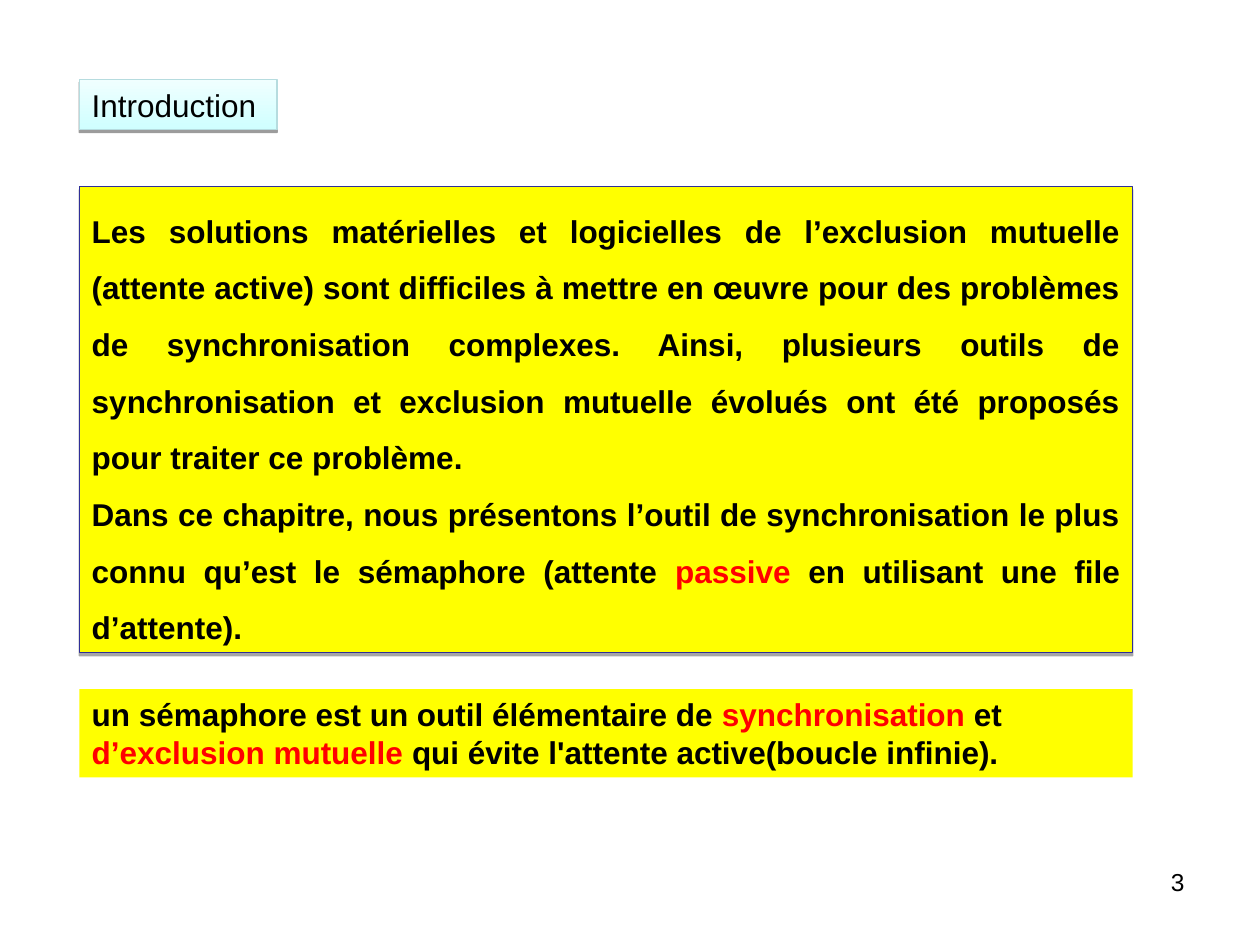
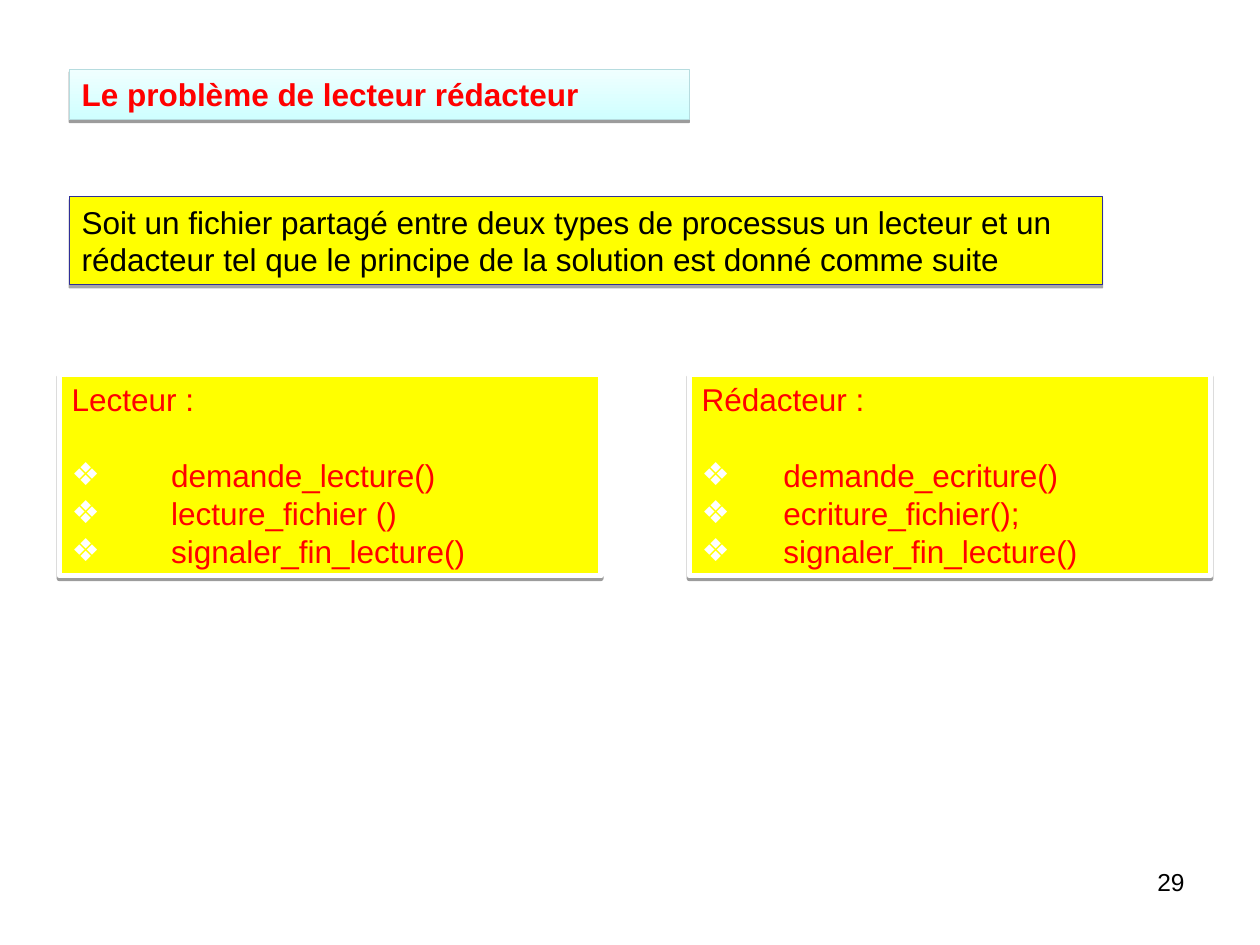
"""Build two slides about semaphores and the reader and writer problem."""
from dataclasses import dataclass
from typing import Optional

from lxml.etree import SubElement as Sub
from pptx import Presentation as Deck
from pptx.dml.color import RGBColor as Rgb
from pptx.enum.shapes import MSO_SHAPE as Kind
from pptx.enum.text import MSO_ANCHOR as Anchor, PP_ALIGN as Align
from pptx.oxml.ns import qn
from pptx.slide import Slide
from pptx.util import Emu, Pt

SCALE = 9144


@dataclass(frozen=True)
class Theme:
    font: str = "Arial"
    body: int = 18
    small: int = 14
    black: str = "000000"
    red: str = "FF0000"
    white: str = "FFFFFF"
    yellow: str = "FFFF00"
    navy: str = "2F2F98"
    teal: str = "B6DCDF"
    pale: tuple[str, str] = ("F0FFFF", "CFFFFF")
    bullet: str = "❖"
    gap: float = 21.6


THEME = Theme()


@dataclass(frozen=True)
class Run:
    text: str
    color: str = THEME.black
    bold: bool = False
    size: int = THEME.body


@dataclass(frozen=True)
class Para:
    runs: list[Run]
    align: Align = Align.LEFT
    lines: float = 1.0
    before: float = 0
    hang: int = 0


@dataclass(frozen=True)
class Area:
    left: int
    top: int
    width: int
    height: int


@dataclass(frozen=True)
class Shade:
    alpha: int
    dist: float


@dataclass(frozen=True)
class Style:
    fill: tuple[str, ...]
    line: Optional[str] = None
    weight: float = 0.75
    shade: Optional[Shade] = None


SOFT = Shade(38, 1.6)
TITLE = Style(THEME.pale, THEME.teal, shade=SOFT)
FRAME = Style((THEME.yellow,), THEME.navy, shade=Shade(35, 1.8))
PLAIN = Style((THEME.yellow,))
CARD = Style((THEME.yellow,), THEME.white, 3, SOFT)


def px(count: int) -> Emu:
    return Emu(count * SCALE)


def place(area: Area) -> tuple[Emu, Emu, Emu, Emu]:
    return px(area.left), px(area.top), px(area.width), px(area.height)


def mark(para, hang: int) -> None:
    props = para._p.get_or_add_pPr()
    props.set("marL", str(px(hang)))
    props.set("indent", str(-px(hang)))
    Sub(Sub(props, qn("a:buClr")), qn("a:srgbClr"), val=THEME.white)
    Sub(props, qn("a:buFont"), typeface=THEME.font)
    Sub(props, qn("a:buChar"), char=THEME.bullet)


def write(frame, paras: list[Para]) -> None:
    frame.word_wrap = True
    frame.vertical_anchor = Anchor.TOP
    for index, item in enumerate(paras):
        para = frame.add_paragraph() if index else frame.paragraphs[0]
        if item.hang:
            mark(para, item.hang)
        para.alignment = item.align
        para.line_spacing = item.lines
        if item.before:
            para.space_before = Pt(item.before)
        for part in item.runs:
            run = para.add_run()
            run.text = part.text
            font = run.font
            font.name, font.size, font.bold = THEME.font, Pt(part.size), part.bold
            font.color.rgb = Rgb.from_string(part.color)


def cast(shape, shade: Shade) -> None:
    effects = shape._element.spPr.find(qn("a:effectLst"))
    outer = Sub(effects, qn("a:outerShdw"), blurRad="0", dist=str(Pt(shade.dist)),
                dir="5400000", algn="ctr", rotWithShape="0")
    color = Sub(outer, qn("a:srgbClr"), val=THEME.black)
    Sub(color, qn("a:alpha"), val=str(shade.alpha * 1000))


def box(slide: Slide, area: Area, style: Style, paras: list[Para]) -> None:
    shape = slide.shapes.add_shape(Kind.RECTANGLE, *place(area))
    shape.shadow.inherit = False
    if style.shade:
        cast(shape, style.shade)
    if len(style.fill) > 1:
        shape.fill.gradient()
        shape.fill.gradient_angle = 270
        for stop, color in zip(shape.fill.gradient_stops, style.fill):
            stop.color.rgb = Rgb.from_string(color)
    else:
        shape.fill.solid()
        shape.fill.fore_color.rgb = Rgb.from_string(style.fill[0])
    if style.line:
        shape.line.color.rgb = Rgb.from_string(style.line)
        shape.line.width = Pt(style.weight)
    else:
        shape.line.fill.background()
    write(shape.text_frame, paras)


def start(deck, number: int) -> Slide:
    slide = deck.slides.add_slide(deck.slide_layouts[6])
    foot = slide.shapes.add_textbox(*place(Area(717, 683, 233, 52)))
    write(foot.text_frame, [Para([Run(str(number), size=THEME.small)], Align.RIGHT)])
    return slide


def steps(head: str, calls: list[str], hang: int) -> list[Para]:
    rows = [Para([Run(call, THEME.red)], before=0 if index else THEME.gap, hang=hang)
            for index, call in enumerate(calls)]
    return [Para([Run(head, THEME.red)])] + rows


def intro(deck) -> None:
    slide = start(deck, 3)
    box(slide, Area(63, 148, 836, 370), FRAME, [
        Para([Run("Les solutions matérielles et logicielles de l’exclusion mutuelle "
                  "(attente active) sont difficiles à mettre en œuvre pour des problèmes "
                  "de synchronisation complexes. Ainsi, plusieurs outils de synchronisation "
                  "et exclusion mutuelle évolués ont été proposés pour traiter ce problème.",
                  bold=True)], Align.JUSTIFY, 1.5),
        Para([Run("Dans ce chapitre, nous présentons l’outil de synchronisation le plus "
                  "connu qu’est le sémaphore (attente", bold=True),
              Run(" passive ", THEME.red, True),
              Run("en utilisant une file d’attente).", bold=True)], Align.JUSTIFY, 1.5),
    ])
    box(slide, Area(63, 63, 157, 40), TITLE, [Para([Run("Introduction")])])
    box(slide, Area(63, 547, 836, 70), PLAIN, [Para([
        Run("un sémaphore est un outil élémentaire de ", bold=True),
        Run("synchronisation", THEME.red, True),
        Run(" et ", bold=True),
        Run("d’exclusion mutuelle ", THEME.red, True),
        Run("qui évite l'attente active(boucle infinie).", bold=True),
    ])])


def share(deck) -> None:
    slide = start(deck, 29)
    box(slide, Area(55, 156, 820, 70), FRAME, [Para([
        Run("Soit un fichier partagé entre deux types de processus un lecteur et un "
            "rédacteur tel que le principe de la solution est donné comme suite")])])
    box(slide, Area(47, 297, 430, 160), CARD, steps(
        "Lecteur :",
        ["demande_lecture()", "lecture_fichier ()", "signaler_fin_lecture()"], 79))
    box(slide, Area(547, 297, 414, 160), CARD, steps(
        "Rédacteur :",
        ["demande_ecriture()", "ecriture_fichier();", "signaler_fin_lecture()"], 65))
    box(slide, Area(55, 55, 492, 40), TITLE, [
        Para([Run("Le problème de lecteur rédacteur", THEME.red, True)])])


def main() -> None:
    deck = Deck()
    deck.slide_width, deck.slide_height = px(1000), px(750)
    intro(deck)
    share(deck)
    deck.save("out.pptx")


if __name__ == "__main__":
    main()
